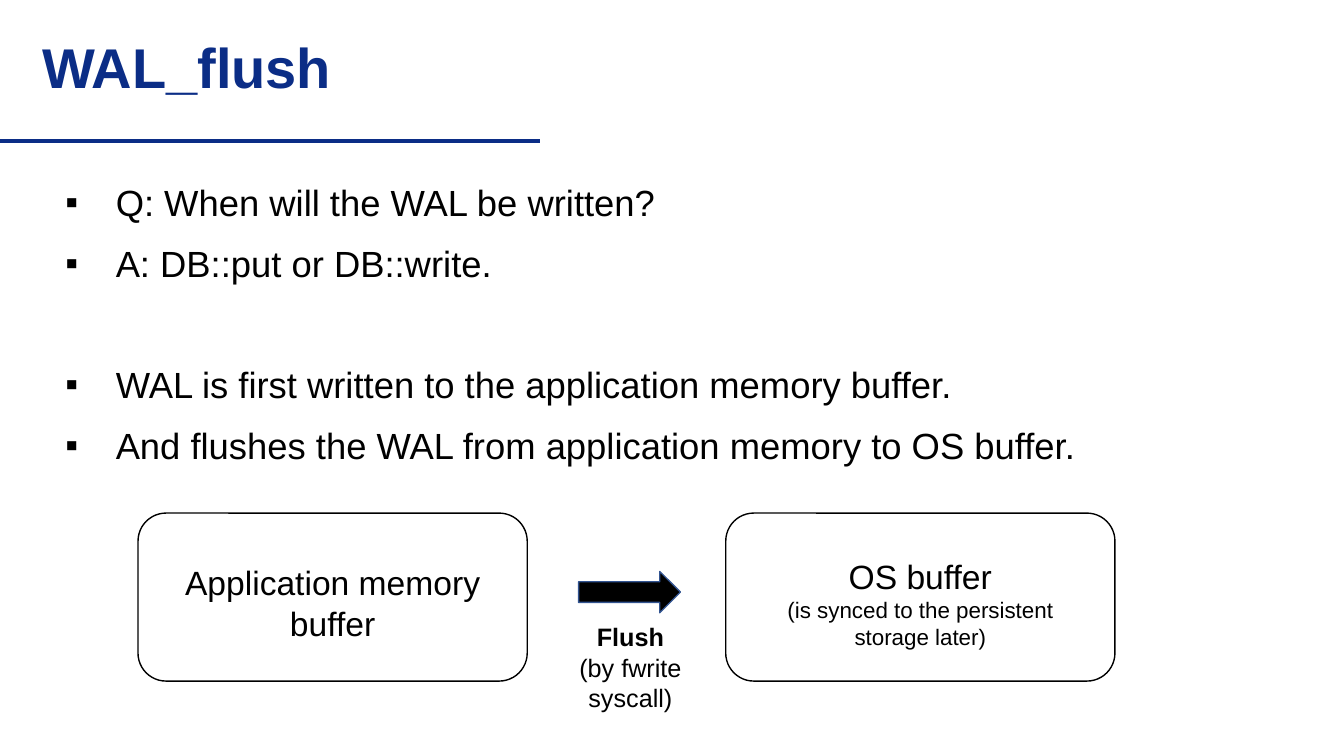
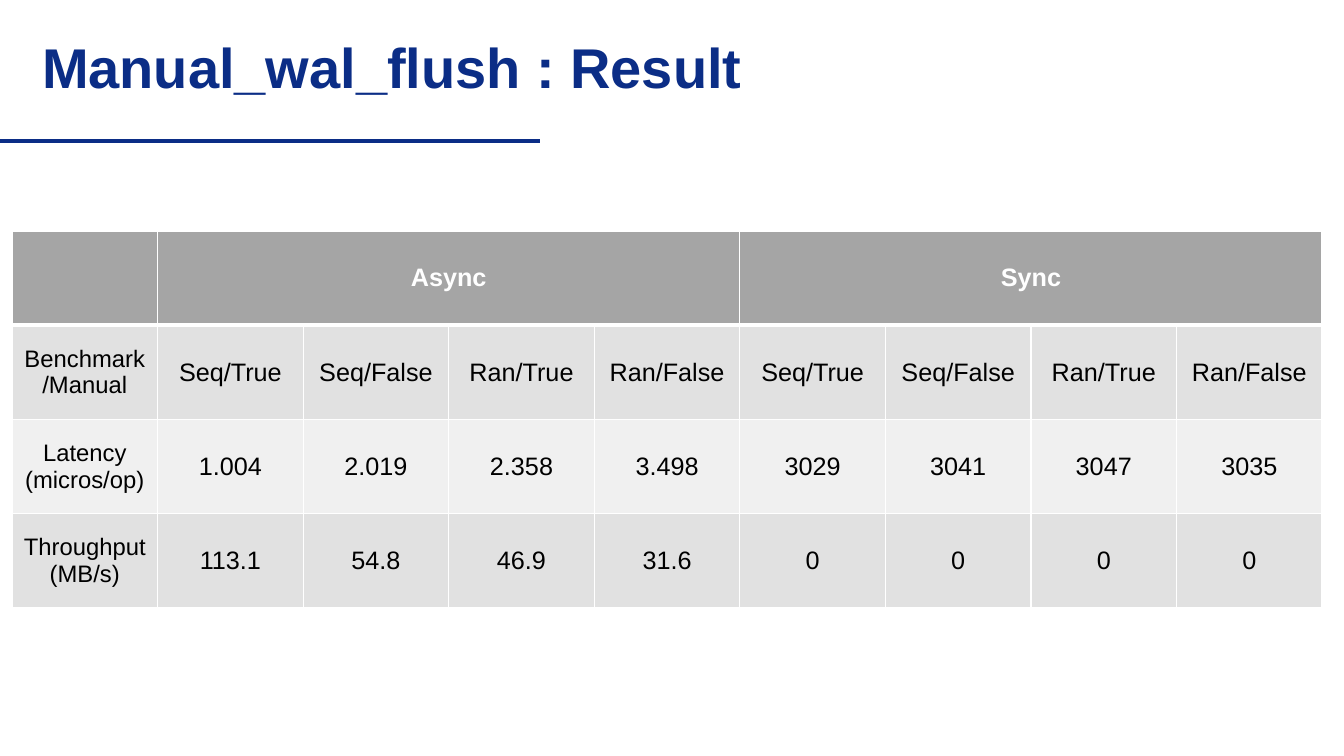
from lxml import etree
from pptx import Presentation
from pptx.dml.color import RGBColor
from pptx.enum import shapes, text
from pptx.oxml import ns
from pptx.util import Pt

NAVY = RGBColor(0x0B, 0x2D, 0x86)
ARROW_EDGE = RGBColor(0x32, 0x54, 0x91)
BLACK = RGBColor(0, 0, 0)
WHITE = RGBColor(255, 255, 255)
HEADER_GRAY = RGBColor(0xA5, 0xA5, 0xA5)
BAND_DARK = RGBColor(0xE1, 0xE1, 0xE1)
BAND_LIGHT = RGBColor(0xF0, 0xF0, 0xF0)


def add_xml(parent, tag, **attributes):
    return etree.SubElement(parent, ns.qn(tag), attributes)


class SlideBuilder:
    font_name = "Arial"

    def __init__(self, deck):
        self.deck = deck
        self.page = None

    def start(self, title):
        self.page = self.deck.slides.add_slide(self.deck.slide_layouts[6])
        rule = self.page.shapes.add_connector(
            shapes.MSO_CONNECTOR.STRAIGHT, 0, Pt(100.8), Pt(386), Pt(100.8))
        rule.line.color.rgb = NAVY
        rule.line.width = Pt(3)
        add_xml(rule._element.spPr, "a:effectLst")
        frame = self.text_box(23, 17.3, 699, 65.5)
        frame.vertical_anchor = text.MSO_ANCHOR.MIDDLE
        self.add_line(frame, title, 40, NAVY, bold=True).line_spacing = 0.9

    def text_box(self, left, top, width, height):
        box = self.page.shapes.add_textbox(Pt(left), Pt(top), Pt(width), Pt(height))
        box.text_frame.word_wrap = True
        return box.text_frame

    def add_line(self, frame, wording, size, color=BLACK, bold=False, align=text.PP_ALIGN.LEFT):
        para = frame.paragraphs[0]
        if para.runs:
            para = frame.add_paragraph()
        para.text = wording
        para.alignment = align
        para.font.name = self.font_name
        para.font.size = Pt(size)
        para.font.bold = bold
        para.font.color.rgb = color
        return para

    def add_centered(self, frame, wording, size, color=BLACK, bold=False):
        return self.add_line(frame, wording, size, color, bold, text.PP_ALIGN.CENTER)

    def bullets(self, left, top, width, height, groups, group_gap):
        frame = self.text_box(left, top, width, height)
        for group_index, group in enumerate(groups):
            for line_index, wording in enumerate(group):
                para = self.add_line(frame, wording, 26)
                para.line_spacing = 1.2
                starts_group = group_index > 0 and line_index == 0
                para.space_before = Pt(6 + group_gap if starts_group else 6)
                properties = para._p.get_or_add_pPr()
                properties.set("marL", str(Pt(36)))
                properties.set("indent", str(-Pt(36)))
                font_defaults = properties.find(ns.qn("a:defRPr"))
                font_defaults.addprevious(
                    add_xml(properties, "a:buFont", typeface=self.font_name))
                font_defaults.addprevious(add_xml(properties, "a:buChar", char="▪"))

    def shape(self, kind, left, top, width, height, edge, fill=None):
        shape = self.page.shapes.add_shape(kind, Pt(left), Pt(top), Pt(width), Pt(height))
        shape.shadow.inherit = False
        shape.line.color.rgb = edge
        shape.line.width = Pt(1)
        if fill is None:
            shape.fill.background()
        else:
            shape.fill.solid()
            shape.fill.fore_color.rgb = fill
        return shape

    def buffer_box(self, left, top_inset, bottom_inset):
        box = self.shape(shapes.MSO_SHAPE.ROUNDED_RECTANGLE, left, 366.5, 278, 120, BLACK)
        frame = box.text_frame
        frame.word_wrap = True
        frame.vertical_anchor = text.MSO_ANCHOR.MIDDLE
        frame.margin_left = frame.margin_right = Pt(17)
        frame.margin_top, frame.margin_bottom = Pt(top_inset), Pt(bottom_inset)
        return frame

    def style_cell(self, cell, fill, bottom_width):
        cell.vertical_anchor = text.MSO_ANCHOR.MIDDLE
        properties = cell._tc.get_or_add_tcPr()
        for side, width in (("L", 1), ("R", 1), ("T", 1), ("B", bottom_width)):
            border = add_xml(properties, f"a:ln{side}", w=str(Pt(width)))
            solid = add_xml(border, "a:solidFill")
            add_xml(solid, "a:srgbClr", val=str(WHITE))
        cell.fill.solid()
        cell.fill.fore_color.rgb = fill

    def results_table(self, left, top, column_width, row_height, groups, rows):
        row_count, column_count = len(rows) + 1, len(rows[0])
        table = self.page.shapes.add_table(
            row_count, column_count, Pt(left), Pt(top),
            Pt(column_width * column_count), Pt(row_height * row_count)).table
        table.horz_banding = False
        for column in table.columns:
            column.width = Pt(column_width)
        for row in table.rows:
            row.height = Pt(row_height)

        for column_index in range(column_count):
            self.style_cell(table.cell(0, column_index), HEADER_GRAY, 3)
        span = (column_count - 1) // len(groups)
        for group_index, name in enumerate(groups):
            first = 1 + group_index * span
            cell = table.cell(0, first)
            cell.merge(table.cell(0, first + span - 1))
            self.add_centered(cell.text_frame, name, 18, WHITE, bold=True)

        for row_index, values in enumerate(rows, start=1):
            fill = BAND_DARK if row_index % 2 else BAND_LIGHT
            for column_index, value in enumerate(values):
                cell = table.cell(row_index, column_index)
                self.style_cell(cell, fill, 1)
                for line in value.split("\n"):
                    self.add_centered(cell.text_frame, line, 18 if column_index else 17)


def build_flush_slide(builder):
    builder.start("WAL_flush")
    builder.bullets(39.6, 118.8, 874, 378.7, [
        ["Q: When will the WAL be written?", "A: DB::put or DB::write."],
        ["WAL is first written to the application memory buffer.",
         "And flushes the WAL from application memory to OS buffer."],
    ], group_gap=43.4)

    application_buffer = builder.buffer_box(98.6, 11.6, 3.6)
    builder.add_centered(application_buffer, "Application memory buffer", 24)
    kernel_buffer = builder.buffer_box(518.4, 3.6, 9.6)
    builder.add_centered(kernel_buffer, "OS buffer", 24).line_spacing = 1.5
    builder.add_centered(kernel_buffer, "(is synced to the persistent storage later)", 16)

    builder.shape(shapes.MSO_SHAPE.RIGHT_ARROW, 413.3, 408.2, 72.7, 29.5, ARROW_EDGE, BLACK)
    caption = builder.text_box(388, 440.6, 124.6, 72.7)
    builder.add_centered(caption, "Flush", 18, bold=True)
    builder.add_centered(caption, "(by fwrite syscall)", 18)


def build_result_slide(builder):
    builder.start("Manual_wal_flush : Result")
    modes = ["Seq/True", "Seq/False", "Ran/True", "Ran/False"]
    builder.results_table(8.6, 165, 104, 67.3, ["Async", "Sync"], [
        ["Benchmark\n/Manual", *modes, *modes],
        ["Latency\n(micros/op)", "1.004", "2.019", "2.358", "3.498",
         "3029", "3041", "3047", "3035"],
        ["Throughput\n(MB/s)", "113.1", "54.8", "46.9", "31.6", "0", "0", "0", "0"],
    ])


def main():
    deck = Presentation()
    deck.slide_width, deck.slide_height = Pt(960), Pt(540)
    builder = SlideBuilder(deck)
    build_flush_slide(builder)
    build_result_slide(builder)
    deck.save("out.pptx")


if __name__ == "__main__":
    main()
